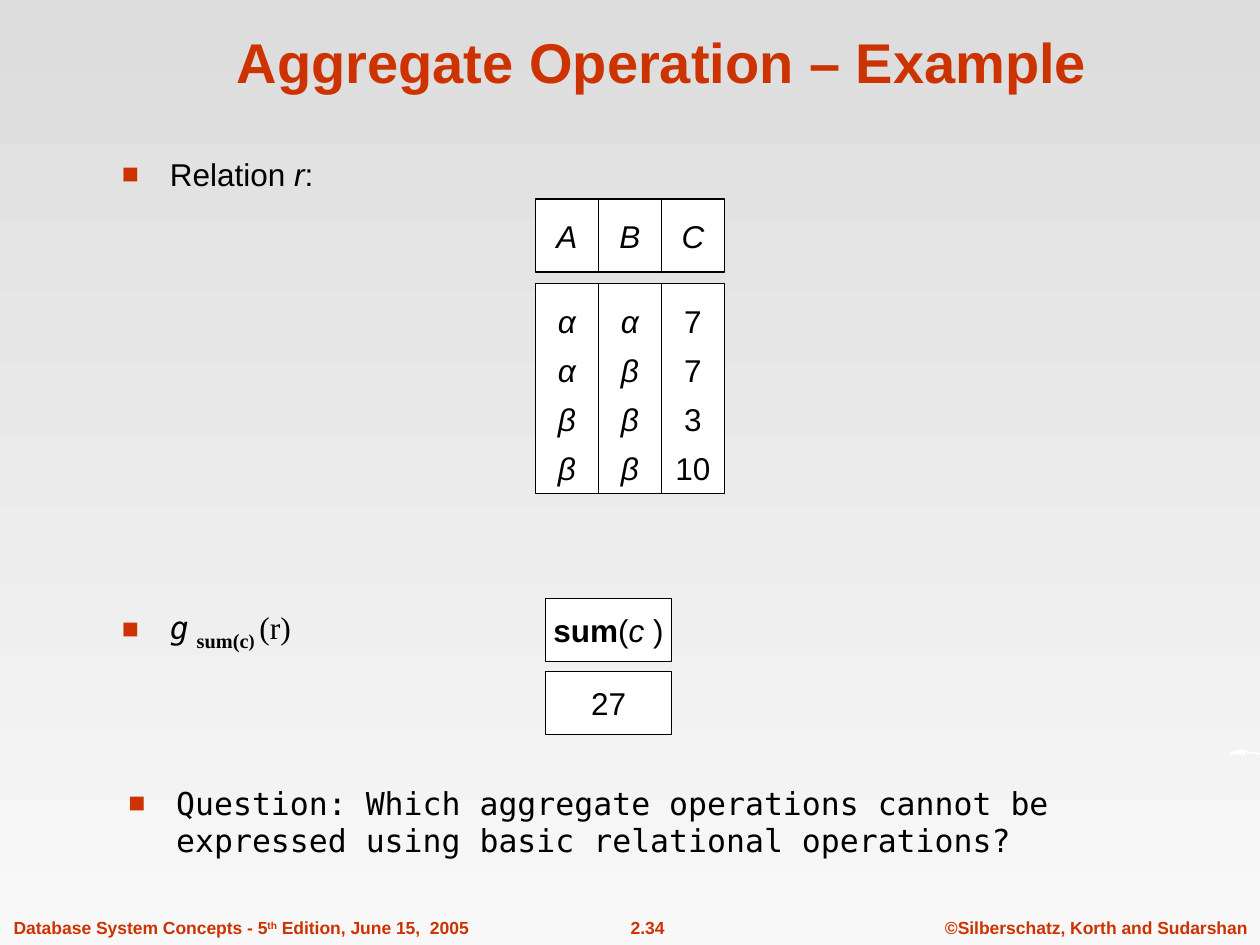
from dataclasses import dataclass
from typing import Optional

from lxml.etree import SubElement
from pptx import Presentation
from pptx.dml.color import RGBColor
from pptx.enum.shapes import MSO_SHAPE
from pptx.enum.text import MSO_ANCHOR, MSO_AUTO_SIZE, PP_ALIGN
from pptx.oxml.ns import qn
from pptx.util import Inches, Pt

COLORS = {
    "accent": "CC3300",
    "text": "000000",
    "cell": "FFFFFF",
    "top": "DDDDDD",
    "bottom": "F8F8F8",
}
SANS, MONO, SERIF = "Arial", "DejaVu Sans Mono", "Times New Roman"


@dataclass
class Run:
    """Text whose unset properties follow its paragraph."""
    text: str
    bold: Optional[bool] = None
    italic: Optional[bool] = None
    font: Optional[str] = None
    size: Optional[float] = None
    baseline: int = 0


@dataclass
class Bullet:
    left: float
    top: float
    width: float
    height: float
    runs: list[Run]
    font: str = SANS


@dataclass
class Footer:
    left: float
    width: float
    align: PP_ALIGN
    runs: list[Run]


@dataclass
class Cell:
    left: float
    top: float
    width: float
    height: float
    lines: list[list[Run]]
    line_spacing: float = 1.0


@dataclass
class Column:
    name: str
    values: str
    italic: bool


BULLETS = [
    Bullet(0.87, 1.18, 1.93, 0.63,
           [Run("Relation "), Run("r", italic=True), Run(":")]),
    Bullet(0.87, 4.75, 2.2, 0.61,
           [Run("g", italic=True), Run(" ", font=SERIF),
            Run("sum(c", bold=True, font=SERIF, size=20, baseline=-25),
            Run(") ", bold=True, font=SERIF, baseline=-25),
            Run("(r)", font=SERIF)], MONO),
    Bullet(0.92, 6.17, 7.83, 0.83,
           [Run("Question: Which aggregate operations cannot be expressed "
                "using basic relational operations?")], MONO),
]
FOOTERS = [
    Footer(7.4, 2.6, PP_ALIGN.CENTER, [Run("©Silberschatz, Korth and Sudarshan")]),
    Footer(4.65, 0.98, PP_ALIGN.CENTER, [Run("2.34")]),
    Footer(0.01, 3.81, PP_ALIGN.LEFT,
           [Run("Database System Concepts - 5"), Run("th", baseline=30),
            Run(" Edition, June 15,  2005")]),
]
RELATION = [
    Column("A", "α α β β", True),
    Column("B", "α β β β", True),
    Column("C", "7 7 3 10", False),
]
RESULT = [
    [Run("sum", bold=True), Run("("), Run("c ", italic=True), Run(")")],
    [Run("27")],
]
# Hundredths of an inch, since freeform points are whole numbers.
SWOOSH = [
    (975, 601), (976, 598), (979, 596), (983, 595), (987, 595),
    (993, 597), (997, 597), (1000, 598), (998, 599), (995, 598),
    (990, 598), (988, 597), (988, 600), (985, 597), (985, 600),
    (982, 597), (983, 600), (980, 598), (977, 599),
]


def rgb(name: str) -> RGBColor:
    return RGBColor.from_string(COLORS[name])


def set_paragraph(paragraph, runs: list[Run], size: float, color: str = "text",
                  font: str = SANS, bold: Optional[bool] = None) -> None:
    paragraph.font.name = font
    paragraph.font.size = Pt(size)
    paragraph.font.bold = bold
    paragraph.font.color.rgb = rgb(color)
    for item in runs:
        run = paragraph.add_run()
        run.text = item.text
        run.font.bold = item.bold
        run.font.italic = item.italic
        if item.font:
            run.font.name = item.font
        if item.size:
            run.font.size = Pt(item.size)
        if item.baseline:
            run.font._element.set("baseline", str(item.baseline * 1000))


def set_bullet(paragraph) -> None:
    properties = paragraph._p.get_or_add_pPr()
    properties.set("marL", str(Inches(0.38)))
    properties.set("indent", str(-Inches(0.38)))
    bullet_color = SubElement(properties, qn("a:buClr"))
    SubElement(bullet_color, qn("a:srgbClr"), val=COLORS["accent"])
    SubElement(properties, qn("a:buSzPct"), val="90000")
    SubElement(properties, qn("a:buFont"), typeface=SANS)
    SubElement(properties, qn("a:buChar"), char="■")


def add_bullet(slide, bullet: Bullet) -> None:
    box = slide.shapes.add_textbox(Inches(bullet.left), Inches(bullet.top),
                                   Inches(bullet.width), Inches(bullet.height))
    box.text_frame.word_wrap = True
    paragraph = box.text_frame.paragraphs[0]
    set_bullet(paragraph)
    set_paragraph(paragraph, bullet.runs, 18, font=bullet.font)


def add_footer(slide, footer: Footer) -> None:
    box = slide.shapes.add_textbox(Inches(footer.left), Inches(7.23),
                                   Inches(footer.width), Inches(0.27))
    box.text_frame.word_wrap = False
    paragraph = box.text_frame.paragraphs[0]
    paragraph.alignment = footer.align
    set_paragraph(paragraph, footer.runs, 10, "accent", bold=True)


def add_cell(slide, cell: Cell) -> None:
    shape = slide.shapes.add_shape(MSO_SHAPE.RECTANGLE, Inches(cell.left), Inches(cell.top),
                                   Inches(cell.width), Inches(cell.height))
    shape.shadow.inherit = False
    shape.fill.solid()
    shape.fill.fore_color.rgb = rgb("cell")
    shape.line.color.rgb = rgb("text")
    shape.line.width = Pt(0.75)
    frame = shape.text_frame
    frame.word_wrap = False
    frame.vertical_anchor = MSO_ANCHOR.MIDDLE
    for index, runs in enumerate(cell.lines):
        paragraph = frame.add_paragraph() if index else frame.paragraphs[0]
        paragraph.alignment = PP_ALIGN.CENTER
        paragraph.line_spacing = cell.line_spacing
        set_paragraph(paragraph, runs, 18)


def add_swoosh(slide) -> None:
    builder = slide.shapes.build_freeform(*SWOOSH[0], scale=Inches(0.01))
    builder.add_line_segments(SWOOSH[1:], close=True)
    shape = builder.convert_to_shape()
    shape.shadow.inherit = False
    shape.fill.solid()
    shape.fill.fore_color.rgb = rgb("cell")
    shape.line.fill.background()


def set_background(slide) -> None:
    fill = slide.background.fill
    fill.gradient()
    fill.gradient_angle = 270
    for stop, name, position in zip(fill.gradient_stops, ("top", "bottom"), (0, 1)):
        stop.color.rgb = rgb(name)
        stop.position = position


def set_title(slide) -> None:
    title = slide.shapes.title
    title.left, title.top = Inches(0.84), Inches(0.13)
    title.width, title.height = Inches(8.83), Inches(0.67)
    frame = title.text_frame
    frame.auto_size = MSO_AUTO_SIZE.NONE
    frame.vertical_anchor = MSO_ANCHOR.BOTTOM
    paragraph = frame.paragraphs[0]
    paragraph.alignment = PP_ALIGN.CENTER
    set_paragraph(paragraph, [Run("Aggregate Operation – Example")], 32, "accent", bold=True)


def main() -> None:
    presentation = Presentation()
    presentation.slide_width, presentation.slide_height = Inches(10), Inches(7.5)
    slide = presentation.slides.add_slide(presentation.slide_layouts[5])
    set_background(slide)
    for footer in FOOTERS:
        add_footer(slide, footer)
    add_swoosh(slide)
    set_title(slide)
    for bullet in BULLETS:
        add_bullet(slide, bullet)
    for index, column in enumerate(RELATION):
        left = 4.25 + 0.5 * index
        values = [[Run(value, italic=column.italic)] for value in column.values.split()]
        add_cell(slide, Cell(left, 1.58, 0.5, 0.58, [[Run(column.name, italic=True)]]))
        add_cell(slide, Cell(left, 2.25, 0.5, 1.67, values, 1.3))
    for index, runs in enumerate(RESULT):
        add_cell(slide, Cell(4.33, 4.75 + 0.58 * index, 1, 0.5, [runs]))
    presentation.save("out.pptx")


if __name__ == "__main__":
    main()
